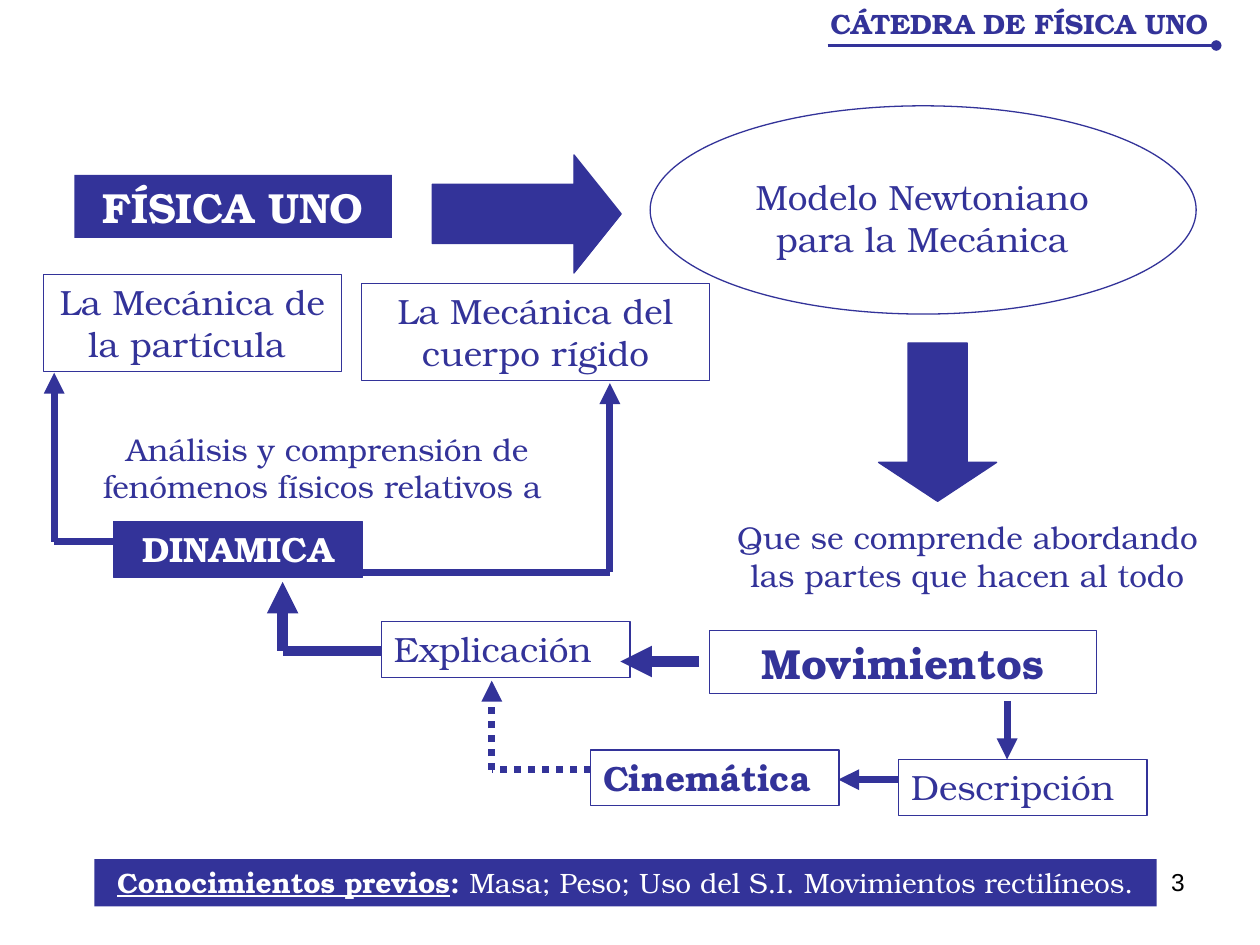
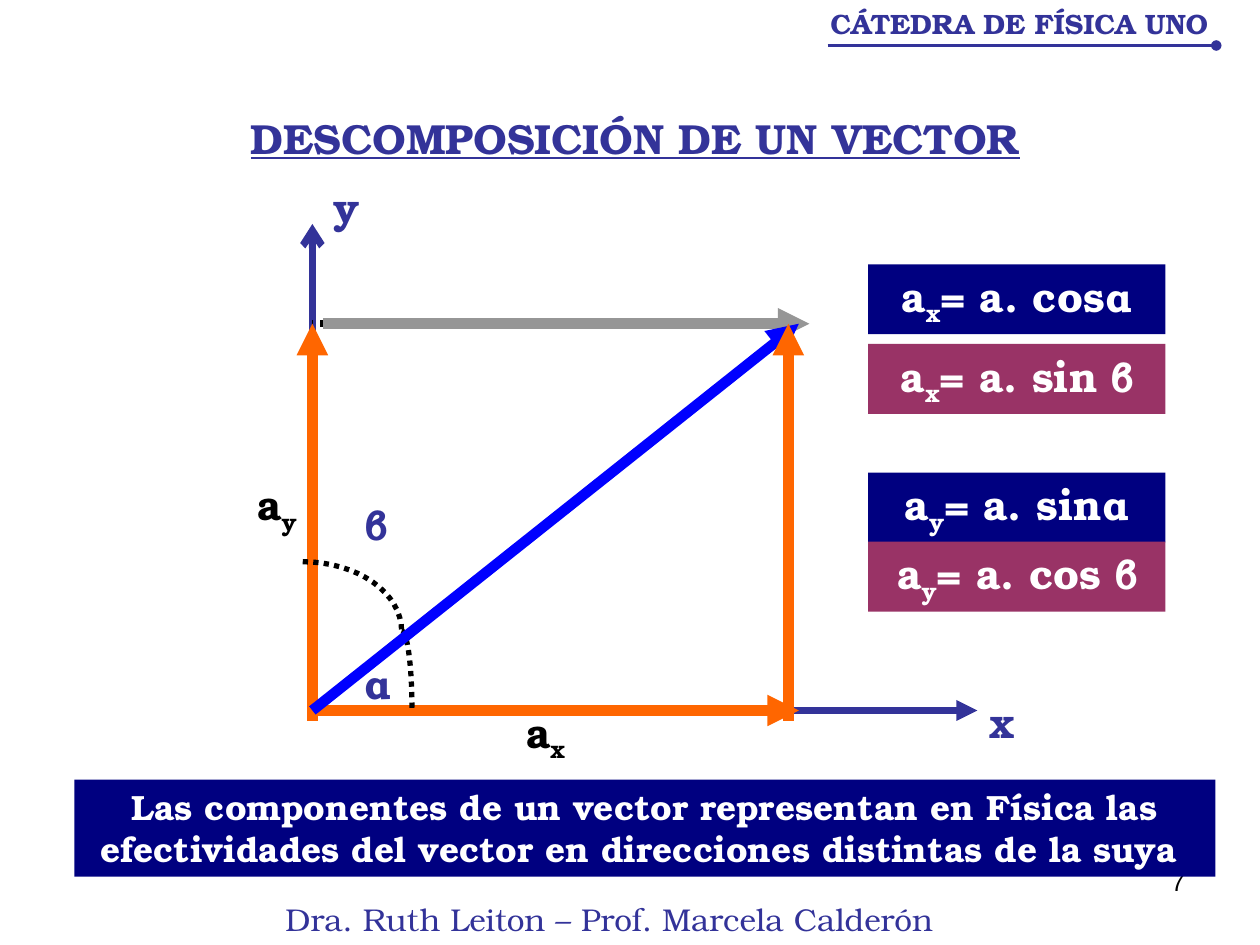
"""Build two physics slides: the course concept map and the components of a vector."""
import itertools
import math

import lxml.etree
import pptx
import pptx.dml.color
import pptx.enum.dml
import pptx.enum.shapes
import pptx.enum.text
import pptx.oxml.ns
import pptx.util

THEME = {
    "indigo": "333399", "navy": "000080", "plum": "993366", "orange": "FF6600",
    "blue": "0000FF", "grey": "969696", "black": "000000", "white": "FFFFFF",
    "font": "TeX Gyre Bonum", "number_font": "Arial",
    "heading": 24, "body": 20, "note": 18, "small": 16, "number": 14,
}
SHAPES = pptx.enum.shapes.MSO_SHAPE
ALIGN = pptx.enum.text.PP_ALIGN
COLOR = pptx.dml.color.RGBColor.from_string


def add_box(slide, box, runs=(), size="body", color="indigo", bold=False, fill=None,
            outline=None, align=ALIGN.CENTER, kind=None, font="font"):
    """Add a text box, or a preset shape if kind is given, with (text, format) runs."""
    lengths = [pptx.util.Pt(value) for value in box]
    if kind is None:
        shape = slide.shapes.add_textbox(*lengths)
    else:
        shape = slide.shapes.add_shape(kind, *lengths)
        shape.shadow.inherit = False
        for part, name in ((shape.fill, fill), (shape.line.fill, outline)):
            if name:
                part.solid()
                part.fore_color.rgb = COLOR(THEME[name])
            else:
                part.background()
        if outline:
            shape.line.width = pptx.util.Pt(0.75)
    frame = shape.text_frame
    frame_format = {
        "word_wrap": True, "vertical_anchor": pptx.enum.text.MSO_ANCHOR.TOP,
        "margin_left": pptx.util.Pt(7.2), "margin_right": pptx.util.Pt(7.2),
        "margin_top": pptx.util.Pt(3.6), "margin_bottom": pptx.util.Pt(3.6),
    }
    for name, value in frame_format.items():
        setattr(frame, name, value)
    paragraph = frame.paragraphs[0]
    paragraph.alignment = align
    for text, changes in [(runs, {})] if isinstance(runs, str) else runs:
        run = paragraph.add_run()
        run.text = text
        font_format = {"name": THEME[font], "size": pptx.util.Pt(THEME[size]), "bold": bold}
        for name, value in {**font_format, **changes}.items():
            setattr(run.font, name, value)
        run.font.color.rgb = COLOR(THEME[color])
        if text in SUBSCRIPTS and len(runs) > 1:
            run._r.get_or_add_rPr().set("baseline", "-25000")
    return shape


def add_line(slide, points, width, color="indigo", end=None, dotted=False):
    """Join the points with straight connectors; the last one carries the line end."""
    for start, stop in itertools.pairwise(points):
        connector = slide.shapes.add_connector(
            pptx.enum.shapes.MSO_CONNECTOR.STRAIGHT,
            *[pptx.util.Pt(value) for value in (*start, *stop)])
        connector.line.color.rgb = COLOR(THEME[color])
        connector.line.width = pptx.util.Pt(width)
        if dotted:
            connector.line.dash_style = pptx.enum.dml.MSO_LINE.ROUND_DOT
        if end and stop == points[-1]:
            lxml.etree.SubElement(connector.line._get_or_add_ln(),
                                  pptx.oxml.ns.qn("a:tailEnd"), type=end)
        lxml.etree.SubElement(connector._element.spPr, pptx.oxml.ns.qn("a:effectLst"))


SUBSCRIPTS = ("x", "y")
presentation = pptx.Presentation()
presentation.slide_width = pptx.util.Pt(720)
presentation.slide_height = pptx.util.Pt(540)

slides = []
for page_number in ("3", "7"):
    slide = presentation.slides.add_slide(presentation.slide_layouts[6])
    add_box(slide, (516, 492, 168, 37), page_number, "number", "black",
            align=ALIGN.RIGHT, font="number_font")
    add_box(slide, (445, 0, 275, 27), "CÁTEDRA DE FÍSICA UNO", "small", bold=True)
    add_line(slide, [(473, 26), (695, 26)], 2, end="oval")
    slides.append(slide)
concept_map, vector_slide = slides

solid = {"kind": SHAPES.RECTANGLE, "fill": "indigo", "color": "white"}
framed = {"kind": SHAPES.RECTANGLE, "outline": "indigo"}
left_framed = {**framed, "align": ALIGN.LEFT}
add_box(concept_map, (371.5, 60.5, 312, 119), kind=SHAPES.OVAL, outline="indigo")
concepts = [
    ((42.5, 100, 181.5, 36), "FÍSICA UNO", {**solid, "size": "heading", "bold": True}),
    ((403, 96.5, 248, 55.5), "Modelo Newtoniano para la Mecánica", {}),
    ((405.5, 360.5, 221, 36), "Movimientos", {**framed, "size": "heading", "bold": True}),
    ((411, 292.5, 283.5, 50.5), "Que se comprende abordando las partes que hacen al todo",
     {"size": "note"}),
    ((513.5, 434, 142, 32), "Descripción", left_framed),
    ((218, 355, 142, 32), "Explicación", left_framed),
    ((337.5, 428.5, 142, 32), "Cinemática", {**left_framed, "bold": True}),
    ((65, 298, 142, 32), "DINAMICA", {**solid, "outline": "indigo", "bold": True}),
    ((25, 157, 170, 55.5), "La Mecánica de la partícula ", framed),
    ((206.5, 162, 199, 55.5), "La Mecánica del cuerpo rígido", framed),
    ((31, 242, 312, 50.5), "Análisis y comprensión de fenómenos físicos relativos a ",
     {"size": "note"}),
    ((54, 491, 607, 27),
     [("Conocimientos previos", {"bold": True, "underline": True}), (": ", {"bold": True}),
      ("Masa; Peso; Uso del S.I. Movimientos rectilíneos.", {})],
     {**solid, "size": "small"}),
]
for box, text, style in concepts:
    add_box(concept_map, box, text, **style)

for box, rotation, head_length in (((247, 88.5, 108, 67.5), 0, 0.4),
                                   ((490.5, 207.5, 90.5, 67.5), 90, 0.33)):
    arrow = add_box(concept_map, box, kind=SHAPES.RIGHT_ARROW, fill="indigo", outline="indigo")
    arrow.rotation = rotation
    arrow.adjustments[1] = head_length

links = [
    ([(513.5, 445.5), (479, 445.5)], 4, False),
    ([(575.5, 400.5), (575.5, 434)], 4, False),
    ([(399.5, 378), (354.5, 378)], 6, False),
    ([(218, 372), (161.5, 372), (161.5, 332.5)], 6, False),
    ([(337.5, 440), (281, 440), (281, 389)], 4, True),
    ([(65, 309.5), (31, 309.5), (31, 213)], 4, False),
    ([(206.5, 327), (348.5, 327), (348.5, 219)], 4, False),
]
for points, width, dotted in links:
    add_line(concept_map, points, width, end="triangle", dotted=dotted)

left, right, top, base, overhang = 178.5, 450.5, 185, 406, 6
add_box(vector_slide, (110, 511, 482, 29), "Dra. Ruth Leiton – Prof. Marcela Calderón ", "note")
add_box(vector_slide, (42.5, 60.5, 641, 36),
        [("DESCOMPOSICIÓN DE UN VECTOR", {"underline": True})], "heading", bold=True)
add_line(vector_slide, [(left, base), (left, 128)], 4, end="arrow")
add_line(vector_slide, [(left, base), (558.5, base)], 4, end="triangle")
add_line(vector_slide, [(right, base), (right, top), (left, top)], 4, "black", dotted=True)
add_line(vector_slide, [(left, base), (right + overhang, base)], 6, "orange", "triangle")
add_line(vector_slide, [(left, base + overhang), (left, top)], 6, "orange", "triangle")

steps = 16
for center_x, center_y, radius_x, radius_y in ((229.5, 406, 6, 45.5), (173, 360.5, 56.5, 39.5)):
    angles = [math.pi / 2 * step / steps for step in range(steps + 1)]
    points = [(pptx.util.Pt(center_x + radius_x * math.sin(angle)),
               pptx.util.Pt(center_y - radius_y * math.cos(angle))) for angle in angles]
    builder = vector_slide.shapes.build_freeform(*points[0])
    builder.add_line_segments(points[1:], close=False)
    angle_arc = builder.convert_to_shape()
    angle_arc.shadow.inherit = False
    angle_arc.fill.background()
    angle_arc.line.color.rgb = COLOR(THEME["black"])
    angle_arc.line.width = pptx.util.Pt(3)
    angle_arc.line.dash_style = pptx.enum.dml.MSO_LINE.ROUND_DOT

for x, y, symbol, align in ((196, 372, "α", ALIGN.CENTER), (201.5, 281.5, "β", ALIGN.LEFT),
                            (178.5, 100, "y", ALIGN.CENTER), (553, 394.5, "x", ALIGN.CENTER)):
    add_box(vector_slide, (x, y, 39.5, 36), symbol, "heading", bold=True, align=align)
for x, y, axis in ((275, 400, "x"), (121.5, 270, "y")):
    add_box(vector_slide, (x, y, 73.5, 40), [("a", {}), (axis, {})], "heading", "black", True)
for y, axis, formula, fill in ((151, "x", "= a. cosα", "navy"), (196.5, "x", "= a. sin β", "plum"),
                               (270, "y", "= a. sinα", "navy"), (309.5, "y", "= a. cos β", "plum")):
    add_box(vector_slide, (496, y, 170, 40), [("a", {}), (axis, {}), (formula, {})],
            "heading", "white", True, fill, kind=SHAPES.RECTANGLE)
add_box(vector_slide, (42.5, 445.5, 652, 55.5),
        "Las componentes de un vector representan en Física las efectividades del vector "
        "en direcciones distintas de la suya ",
        color="white", bold=True, fill="navy", kind=SHAPES.RECTANGLE)

for start, stop, color in (((left + overhang, top), (right + 2 * overhang, top), "grey"),
                           ((left, base), (right + overhang, top), "blue"),
                           ((right, base + overhang), (right, top), "orange")):
    add_line(vector_slide, [start, stop], 6, color, "triangle")

presentation.save("out.pptx")
